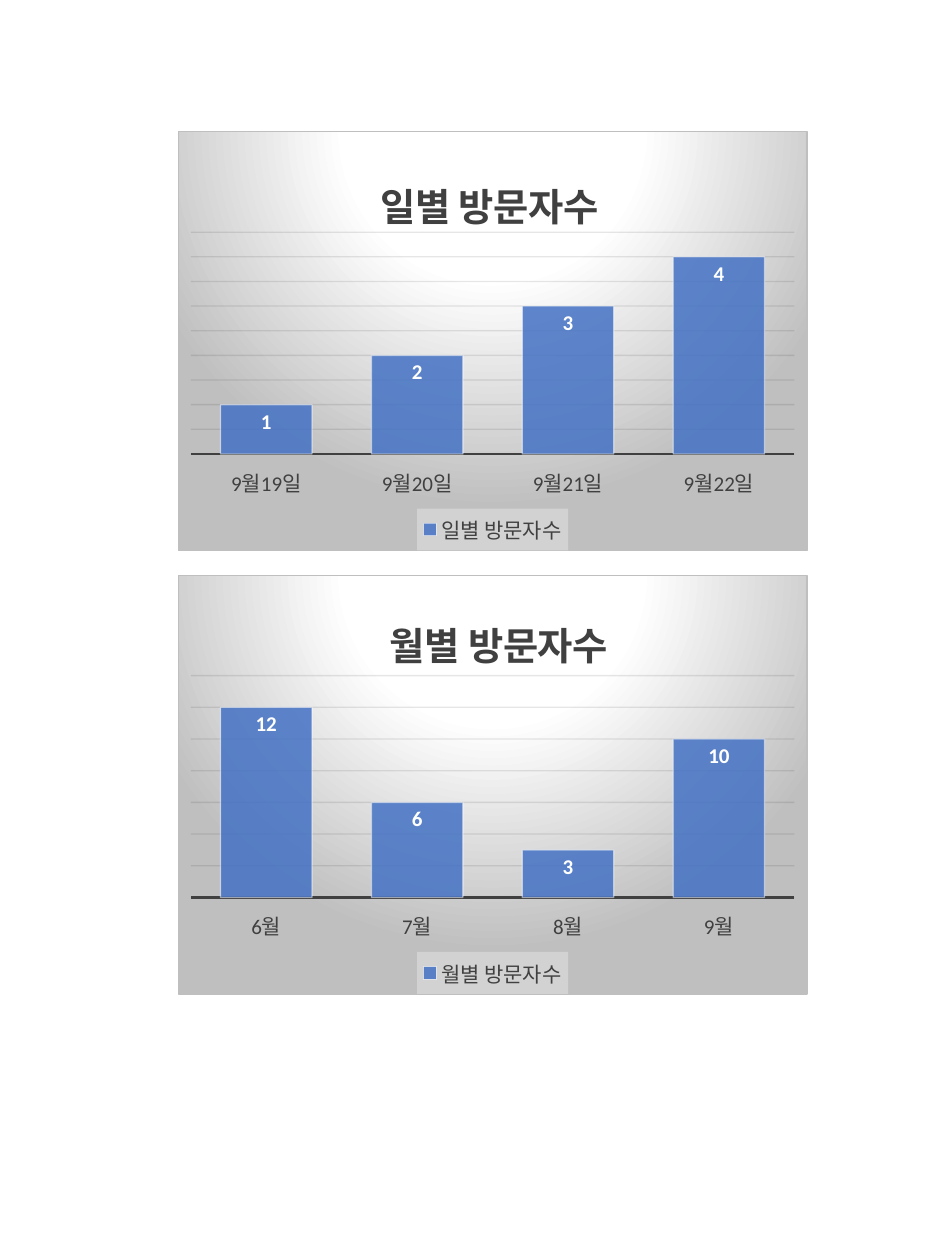
from lxml.etree import SubElement, fromstring
from pptx import Presentation
from pptx.chart.data import CategoryChartData as ChartData
from pptx.dml.color import RGBColor
from pptx.enum.chart import XL_CHART_TYPE as ChartType
from pptx.enum.chart import XL_LABEL_POSITION as LabelPosition
from pptx.enum.chart import XL_LEGEND_POSITION as LegendPosition
from pptx.enum.chart import XL_TICK_LABEL_POSITION as TickLabels
from pptx.enum.chart import XL_TICK_MARK as TickMark
from pptx.oxml.ns import nsdecls, qn
from pptx.util import Inches, Pt

CHARTS = [
    {"name": "일별 방문자수", "categories": ["9월19일", "9월20일", "9월21일", "9월22일"],
     "values": [1, 2, 3, 4], "top_value": 4.5, "step": 0.5, "title_at": (0.31, 0.08)},
    {"name": "월별 방문자수", "categories": ["6월", "7월", "8월", "9월"],
     "values": [12, 6, 3, 10], "top_value": 14, "step": 2, "title_at": (0.325, 0.07)},
]

WIDTH, HEIGHT = 7.5, 10
LEFT, TOP = WIDTH * 0.188, HEIGHT * 0.104
CHART_WIDTH, CHART_HEIGHT = WIDTH * 2 / 3, HEIGHT / 3
PITCH = HEIGHT * 0.352
PLOT_AREA = (0.02, 0.24, 0.96, 0.53)
LEGEND_AREA = (0.38, 0.9, 0.24, 0.1)

THEME = {
    "font": "Calibri", "bar": "4472C4", "ink": "404040", "white": "FFFFFF",
    "edge": "BFBFBF", "grid": "0D0D0D", "legend": "F2F2F2", "text": "000000",
    "title_size": 22, "label_size": 12, "base_size": 10, "thin": 0.75, "axis": 1.5,
}


def set_all(target, **values):
    for name, value in values.items():
        setattr(target, name, value)


def style_font(font, size, color, bold=False):
    set_all(font, name=THEME["font"], size=Pt(THEME[size]), bold=bold)
    font.color.rgb = RGBColor.from_string(THEME[color])


def paint(fill, color, alpha=100):
    fill.solid()
    fill.fore_color.rgb = RGBColor.from_string(THEME[color])
    if alpha < 100:
        for node in fill._xPr.find(qn("a:solidFill")):
            SubElement(node, qn("a:alpha"), val=str(alpha * 1000))


def style_line(line, color, width, alpha=100):
    line.width = Pt(THEME[width])
    paint(line.fill, color, alpha)


def make_layout(area, inner=False):
    layout = fromstring(f'<c:layout {nsdecls("c")}><c:manualLayout/></c:layout>')
    manual = layout[0]
    if inner:
        SubElement(manual, qn("c:layoutTarget"), val="inner")
    for mode in ("xMode", "yMode"):
        SubElement(manual, qn(f"c:{mode}"), val="edge")
    for side, share in zip("xywh", area):
        SubElement(manual, qn(f"c:{side}"), val=str(share))
    return layout


def place(parent, layout, after=None):
    for old in parent.findall(qn("c:layout")):
        parent.remove(old)
    if after:
        parent.find(qn(after)).addnext(layout)
    else:
        parent.insert(0, layout)


def background():
    stops = "".join(
        f'<a:gs pos="{share * 1000}"><a:srgbClr val="{THEME[color]}"/></a:gs>'
        for share, color in ((0, "white"), (39, "white"), (100, "edge")))
    return fromstring(
        f'<c:spPr {nsdecls("c", "a")}><a:gradFill>'
        f'<a:gsLst>{stops}</a:gsLst><a:path path="circle">'
        '<a:fillToRect l="50000" t="-80000" r="50000" b="180000"/></a:path></a:gradFill>'
        f'<a:ln w="{Pt(THEME["thin"])}"><a:solidFill><a:srgbClr val="{THEME["edge"]}"/>'
        '</a:solidFill></a:ln></c:spPr>')


def legend_panel():
    return fromstring(
        f'<c:spPr {nsdecls("c", "a")}><a:solidFill><a:srgbClr val="{THEME["legend"]}">'
        '<a:alpha val="39000"/></a:srgbClr></a:solidFill></c:spPr>')


def style_title(chart, item):
    chart.has_title = True
    title = chart.chart_title
    title.include_in_layout = False
    para = title.text_frame.paragraphs[0]
    span = para.add_run()
    span.text = item["name"]
    style_font(span.font, "title_size", "ink", True)
    place(title._element, make_layout(item["title_at"]), "c:tx")


def style_legend(chart):
    chart.has_legend = True
    legend = chart.legend
    set_all(legend, position=LegendPosition.BOTTOM, include_in_layout=False)
    style_font(legend.font, "label_size", "ink")
    place(legend._element, make_layout(LEGEND_AREA), "c:legendPos")
    legend._element.find(qn("c:overlay")).addnext(legend_panel())


def style_axes(chart, item):
    days = chart.category_axis
    set_all(days, major_tick_mark=TickMark.NONE, minor_tick_mark=TickMark.NONE,
            tick_label_position=TickLabels.LOW, has_major_gridlines=False)
    style_font(days.tick_labels.font, "label_size", "ink")
    style_line(days.format.line, "ink", "axis")
    counts = chart.value_axis
    set_all(counts, visible=False, has_major_gridlines=True, minimum_scale=0,
            maximum_scale=item["top_value"], major_unit=item["step"])
    style_line(counts.major_gridlines.format.line, "grid", "thin", 10)


def style_bars(chart):
    plot = chart.plots[0]
    set_all(plot, gap_width=65, vary_by_categories=False, has_data_labels=True)
    bars = plot.series[0]
    paint(bars.format.fill, "bar", 85)
    style_line(bars.format.line, "white", "thin", 50)
    labels = plot.data_labels
    set_all(labels, show_value=True, position=LabelPosition.INSIDE_END)
    style_font(labels.font, "label_size", "white", True)


def add_visitor_chart(page, row, item):
    data = ChartData()
    data.categories = item["categories"]
    data.add_series(item["name"], item["values"])
    box = map(Inches, (LEFT, TOP + row * PITCH, CHART_WIDTH, CHART_HEIGHT))
    chart = page.shapes.add_chart(ChartType.COLUMN_CLUSTERED, *box, data).chart
    style_font(chart.font, "base_size", "text")
    style_title(chart, item)
    style_legend(chart)
    style_axes(chart, item)
    style_bars(chart)
    frame = chart._chartSpace.find(qn("c:chart"))
    place(frame.find(qn("c:plotArea")), make_layout(PLOT_AREA, inner=True))
    frame.addnext(background())


def main():
    deck = Presentation()
    set_all(deck, slide_width=Inches(WIDTH), slide_height=Inches(HEIGHT))
    page = deck.slides.add_slide(deck.slide_layouts[6])
    for row, item in enumerate(CHARTS):
        add_visitor_chart(page, row, item)
    deck.save("out.pptx")


if __name__ == "__main__":
    main()
